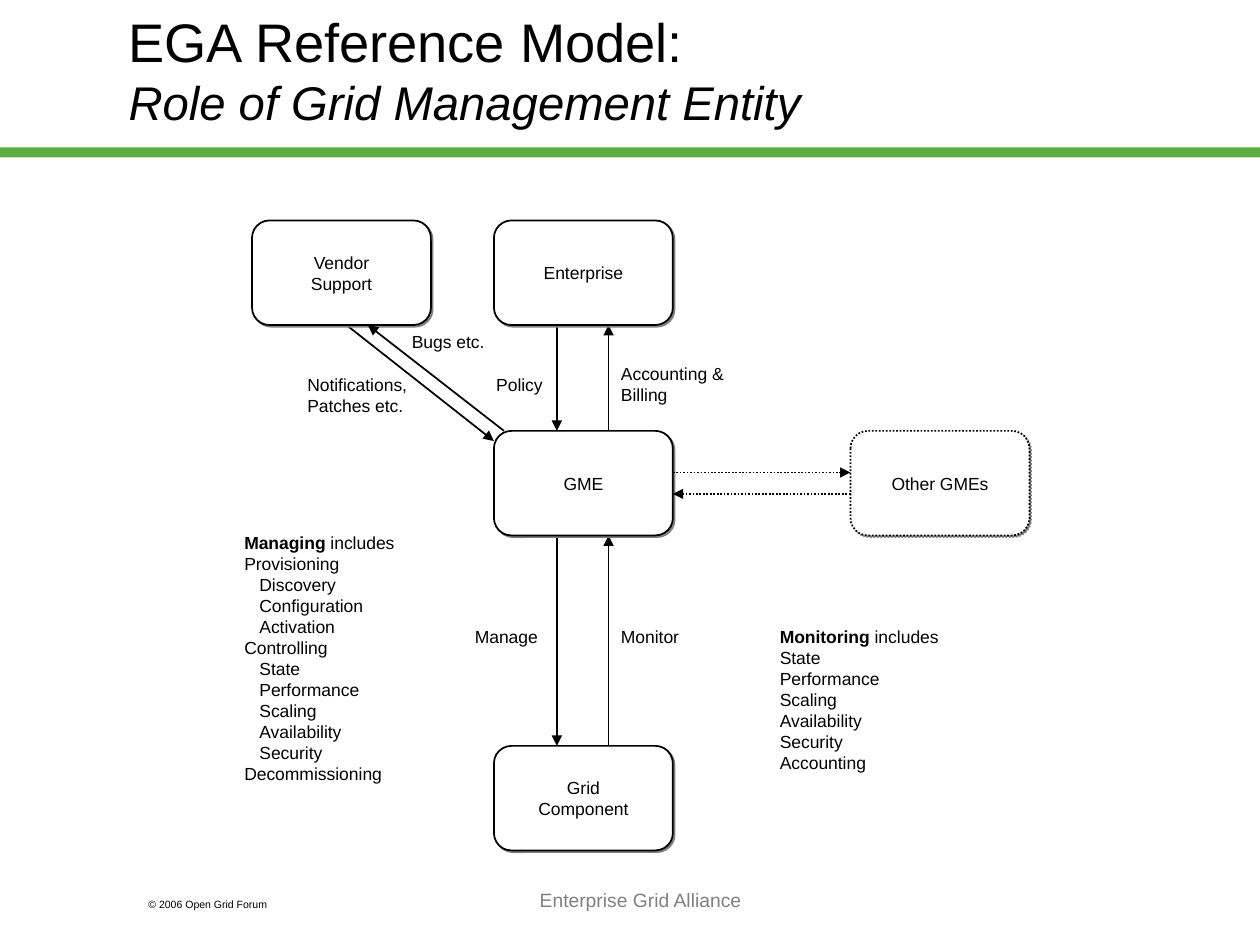
from lxml.etree import SubElement
from pptx import Presentation
from pptx.dml.color import RGBColor
from pptx.enum.dml import MSO_LINE_DASH_STYLE as DASH
from pptx.enum.shapes import MSO_CONNECTOR as CONNECTOR, MSO_SHAPE as SHAPE
from pptx.enum.text import MSO_ANCHOR as ANCHOR, MSO_AUTO_SIZE as AUTO_SIZE, PP_ALIGN as ALIGN
from pptx.oxml.ns import qn
from pptx.util import Inches, Pt

BLACK, WHITE, GRAY, GREEN = "000000", "FFFFFF", "808080", "5DAD41"
BOX_WIDTH, BOX_HEIGHT = 1.42, 0.83
LEFT, CENTER, RIGHT = 2, 3.92, 6.75
TOP, MIDDLE, BOTTOM = 1.75, 3.42, 5.92
DOWN_X, UP_X = 4.42, 4.83
TOP_EDGE, MIDDLE_EDGE = TOP + BOX_HEIGHT, MIDDLE + BOX_HEIGHT
CENTER_EDGE = CENTER + BOX_WIDTH

BOXES = [
    (["GME"], CENTER, MIDDLE, False),
    (["Grid", "Component"], CENTER, BOTTOM, False),
    (["Enterprise"], CENTER, TOP, False),
    (["Vendor", "Support"], LEFT, TOP, False),
    (["Other GMEs"], RIGHT, MIDDLE, True),
]
ARROWS_BEHIND = [
    (DOWN_X, MIDDLE_EDGE, DOWN_X, BOTTOM, False),
    (UP_X, BOTTOM, UP_X, MIDDLE_EDGE, False),
    (UP_X, MIDDLE, UP_X, TOP_EDGE, False),
    (DOWN_X, TOP_EDGE, DOWN_X, MIDDLE, False),
    (2.75, TOP_EDGE, CENTER, 3.5, False),
]
ARROWS_IN_FRONT = [
    (4, MIDDLE, 2.92, TOP_EDGE, False),
    (CENTER_EDGE, 3.75, RIGHT, 3.75, True),
    (RIGHT, 3.92, CENTER_EDGE, 3.92, True),
]
LABELS = [
    (["Manage"], 3.67, 4.92, 0.74, 0.27),
    (["Monitor"], 4.83, 4.92, 0.7, 0.27),
    (["Accounting &", "Billing"], 4.83, 2.83, 1.1, 0.44),
    (["Policy"], 3.84, 2.92, 0.6, 0.27),
    (["Notifications,", "Patches etc."], 2.34, 2.92, 1.05, 0.44),
    (["Bugs etc."], 3.17, 2.58, 0.85, 0.27),
]
MANAGING = [
    ("Provisioning", ["Discovery", "Configuration", "Activation"]),
    ("Controlling", ["State", "Performance", "Scaling", "Availability", "Security"]),
    ("Decommissioning", []),
]
MONITORING = [(item, []) for item in
              ["State", "Performance", "Scaling", "Availability", "Security", "Accounting"]]
LISTS = [
    ("Managing", MANAGING, 1.84, 4.17, 1.45, 2.11),
    ("Monitoring", MONITORING, 6.09, 4.92, 1.52, 1.27),
]


def color(hex_value):
    return RGBColor.from_string(hex_value)


def add_run(paragraph, text, size=10, fill=BLACK, bold=False, italic=False):
    run = paragraph.add_run()
    run.text = text
    font = run.font
    font.name, font.size, font.bold, font.italic = "Arial", Pt(size), bold, italic
    font.color.rgb = color(fill)


def next_paragraph(frame):
    first = frame.paragraphs[0]
    return frame.add_paragraph() if first.runs else first


def write(frame, lines, align=ALIGN.LEFT, indent=0, **style):
    for line in lines:
        paragraph = next_paragraph(frame)
        paragraph.alignment = align
        if indent:
            paragraph._p.get_or_add_pPr().set("marL", str(Inches(indent)))
        add_run(paragraph, line, **style)


def add_text_box(slide, left, top, width, height, wrap=False):
    shape = slide.shapes.add_textbox(*map(Inches, (left, top, width, height)))
    shape.text_frame.word_wrap = wrap
    return shape.text_frame


def set_line(line, dotted):
    line.color.rgb = color(BLACK)
    line.width = Pt(1)
    if dotted:
        line.dash_style = DASH.ROUND_DOT


def add_box(slide, lines, left, top, dotted):
    shape = slide.shapes.add_shape(SHAPE.FLOWCHART_ALTERNATE_PROCESS,
                                   *map(Inches, (left, top, BOX_WIDTH, BOX_HEIGHT)))
    shape.fill.solid()
    shape.fill.fore_color.rgb = color(WHITE)
    set_line(shape.line, dotted)
    shape.shadow.inherit = False
    effects = shape._element.spPr.find(qn("a:effectLst"))
    shadow = SubElement(effects, qn("a:outerShdw"), dist=str(Pt(1.4)),
                        dir=str(45 * 60000), algn="ctr", rotWithShape="0")
    SubElement(shadow, qn("a:srgbClr"), val=GRAY)
    frame = shape.text_frame
    frame.word_wrap = False
    frame.vertical_anchor = ANCHOR.MIDDLE
    write(frame, lines, align=ALIGN.CENTER)


def add_arrow(slide, start_x, start_y, end_x, end_y, dotted):
    arrow = slide.shapes.add_connector(CONNECTOR.STRAIGHT,
                                       *map(Inches, (start_x, start_y, end_x, end_y)))
    set_line(arrow.line, dotted)
    SubElement(arrow.line._get_or_add_ln(), qn("a:tailEnd"), type="triangle")
    SubElement(arrow._element.spPr, qn("a:effectLst"))


def add_list(slide, heading, groups, *place):
    frame = add_text_box(slide, *place)
    write(frame, [heading], bold=True)
    add_run(frame.paragraphs[0], " includes")
    for item, children in groups:
        write(frame, [item])
        write(frame, children, indent=0.12)


def add_title(slide):
    title = slide.shapes.title
    title.left, title.top, title.width, title.height = map(Inches, (0.92, 0, 8.5, 1.1))
    frame = title.text_frame
    frame.auto_size = AUTO_SIZE.NONE
    frame.vertical_anchor = ANCHOR.MIDDLE
    write(frame, ["EGA Reference Model:"], size=31)
    paragraph = frame.paragraphs[0]
    paragraph.add_line_break()
    add_run(paragraph, "Role of Grid Management Entity", size=27, italic=True)


def main():
    presentation = Presentation()
    presentation.slide_width, presentation.slide_height = Inches(10), Inches(7.5)
    slide = presentation.slides.add_slide(presentation.slide_layouts[5])

    add_title(slide)
    rule = slide.shapes.add_shape(SHAPE.RECTANGLE, *map(Inches, (0, 1.17, 10, 0.08)))
    rule.shadow.inherit = False
    rule.fill.solid()
    rule.fill.fore_color.rgb = color(GREEN)
    rule.line.fill.background()

    for arrow in ARROWS_BEHIND:
        add_arrow(slide, *arrow)
    for box in BOXES:
        add_box(slide, *box)
    for arrow in ARROWS_IN_FRONT:
        add_arrow(slide, *arrow)
    for lines, *place in LABELS:
        write(add_text_box(slide, *place), lines)
    for entry in LISTS:
        add_list(slide, *entry)

    write(add_text_box(slide, 1.08, 7.08, 1.5, 0.2, wrap=True),
          ["© 2006 Open Grid Forum"], size=6)
    write(add_text_box(slide, 2.17, 7, 5.83, 0.5, wrap=True),
          ["Enterprise Grid Alliance"], align=ALIGN.CENTER, size=11, fill=GRAY)
    presentation.save("out.pptx")


if __name__ == "__main__":
    main()
